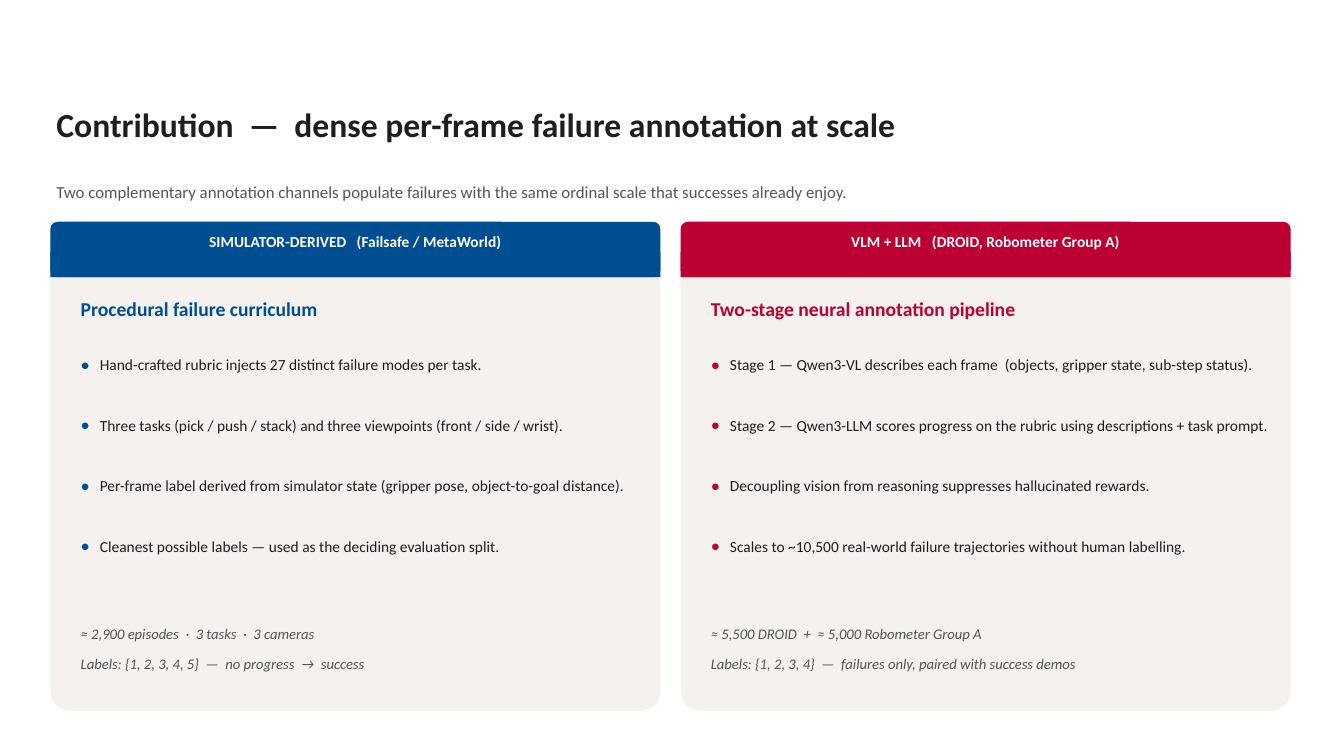
"""Build the slide on the two channels of dense failure annotation."""
import dataclasses

import pptx
import pptx.dml.color
import pptx.enum.shapes
import pptx.enum.text
import pptx.oxml.ns
import pptx.util
from lxml import etree

Inches = pptx.util.Inches
Pt = pptx.util.Pt
RGBColor = pptx.dml.color.RGBColor
Shape = pptx.enum.shapes.MSO_SHAPE
Align = pptx.enum.text.PP_ALIGN
Anchor = pptx.enum.text.MSO_ANCHOR
AutoSize = pptx.enum.text.MSO_AUTO_SIZE


@dataclasses.dataclass(frozen=True)
class Theme:
    """Colours, font and type sizes of the slide."""

    font: str = "Calibri"
    ink: str = "1F1D21"
    muted: str = "555555"
    panel: str = "F4F1EE"
    white: str = "FFFFFF"
    blue: str = "004E92"
    red: str = "BC0031"
    title_size: float = 24
    heading_size: float = 14
    subtitle_size: float = 12
    body_size: float = 11
    note_size: float = 10.5


@dataclasses.dataclass(frozen=True)
class Channel:
    """Content of one annotation panel."""

    color: str
    banner: str
    heading: str
    points: tuple
    notes: tuple


THEME = Theme()
PANEL_LEFT, PANEL_TOP, PANEL_WIDTH, PANEL_HEIGHT = 0.5, 2.2, 6.05, 4.85
PANEL_GAP = 0.2
PADDING = 0.3
TEXT_WIDTH = 5.55
BANNER_HEIGHT = 0.55
POINTS_TOP, POINT_PITCH = 3.5, 0.6
NOTES_TOP, NOTE_PITCH = 6.2, 0.3

CHANNELS = (
    Channel(
        THEME.blue,
        "SIMULATOR-DERIVED   (Failsafe / MetaWorld)",
        "Procedural failure curriculum",
        (
            "Hand-crafted rubric injects 27 distinct failure modes per task.",
            "Three tasks (pick / push / stack) and three viewpoints (front / side / wrist).",
            "Per-frame label derived from simulator state (gripper pose, object-to-goal distance).",
            "Cleanest possible labels — used as the deciding evaluation split.",
        ),
        (
            "≈ 2,900 episodes  ·  3 tasks  ·  3 cameras",
            "Labels: {1, 2, 3, 4, 5}  —  no progress  →  success",
        ),
    ),
    Channel(
        THEME.red,
        "VLM + LLM   (DROID, Robometer Group A)",
        "Two-stage neural annotation pipeline",
        (
            "Stage 1 — Qwen3-VL describes each frame  (objects, gripper state, sub-step status).",
            "Stage 2 — Qwen3-LLM scores progress on the rubric using descriptions + task prompt.",
            "Decoupling vision from reasoning suppresses hallucinated rewards.",
            "Scales to ~10,500 real-world failure trajectories without human labelling.",
        ),
        (
            "≈ 5,500 DROID  +  ≈ 5,000 Robometer Group A",
            "Labels: {1, 2, 3, 4}  —  failures only, paired with success demos",
        ),
    ),
)


def add_bullet(paragraph, color):
    """Give a paragraph a coloured bullet with a hanging indent."""
    properties = paragraph._p.get_or_add_pPr()
    indent = Inches(0.19)
    properties.set("marL", str(indent))
    properties.set("indent", str(-indent))
    qualified = pptx.oxml.ns.qn
    bullet_color = etree.SubElement(properties, qualified("a:buClr"))
    etree.SubElement(bullet_color, qualified("a:srgbClr"), val=color)
    etree.SubElement(properties, qualified("a:buSzPct"), val="120000")
    etree.SubElement(properties, qualified("a:buFont"), typeface=THEME.font)
    etree.SubElement(properties, qualified("a:buChar"), char="•")


def write_text(shape, text, *, size, color, bold=False, italic=False,
               align=Align.LEFT, anchor=Anchor.TOP, line_spacing=None,
               bullet=None, auto_size=AutoSize.SHAPE_TO_FIT_TEXT):
    """Write one formatted paragraph into a shape without insets."""
    frame = shape.text_frame
    frame.margin_left = frame.margin_right = 0
    frame.margin_top = frame.margin_bottom = 0
    frame.word_wrap = True
    frame.auto_size = auto_size
    frame.vertical_anchor = anchor
    paragraph = frame.paragraphs[0]
    paragraph.alignment = align
    if line_spacing:
        paragraph.line_spacing = line_spacing
    if bullet:
        add_bullet(paragraph, bullet)
    run = paragraph.add_run()
    run.text = text
    run.font.name = THEME.font
    run.font.size = Pt(size)
    run.font.bold = bold
    run.font.italic = italic
    run.font.color.rgb = RGBColor.from_string(color)


def add_text(slide, text, left, top, width, height, **style):
    """Add a text box holding one formatted paragraph."""
    box = slide.shapes.add_textbox(
        Inches(left), Inches(top), Inches(width), Inches(height))
    write_text(box, text, **style)


def add_block(slide, kind, left, top, height, color, corner=None):
    """Add a plain filled block as wide as a panel."""
    shape = slide.shapes.add_shape(
        kind, Inches(left), Inches(top), Inches(PANEL_WIDTH), Inches(height))
    shape.shadow.inherit = False
    shape.fill.solid()
    shape.fill.fore_color.rgb = RGBColor.from_string(color)
    shape.line.fill.background()
    if corner is not None:
        shape.adjustments[0] = corner


def add_title(slide, text):
    """Place and format the title placeholder."""
    title = slide.shapes.title
    title.left, title.top = Inches(0.56), Inches(0.77)
    title.width, title.height = Inches(12.2), Inches(0.97)
    write_text(title, text, size=THEME.title_size, color=THEME.ink, bold=True,
               anchor=Anchor.MIDDLE, line_spacing=0.9, auto_size=AutoSize.NONE)


def add_panel(slide, channel, left):
    """Add a panel with its banner, heading, points and notes."""
    add_block(slide, Shape.ROUNDED_RECTANGLE, left, PANEL_TOP, PANEL_HEIGHT,
              THEME.panel, corner=0.04)
    add_block(slide, Shape.ROUNDED_RECTANGLE, left, PANEL_TOP, BANNER_HEIGHT,
              channel.color, corner=0.13)
    add_block(slide, Shape.RECTANGLE, left, PANEL_TOP + 0.3, 0.25, channel.color)
    add_text(slide, channel.banner, left, PANEL_TOP + 0.1, PANEL_WIDTH, 0.4,
             size=THEME.body_size, color=THEME.white, bold=True, align=Align.CENTER)
    text_left = left + PADDING
    add_text(slide, channel.heading, text_left, 2.95, TEXT_WIDTH, 0.45,
             size=THEME.heading_size, color=channel.color, bold=True)
    for index, point in enumerate(channel.points):
        add_text(slide, point, text_left, POINTS_TOP + index * POINT_PITCH,
                 TEXT_WIDTH, 0.65, size=THEME.body_size, color=THEME.ink,
                 line_spacing=1.15, bullet=channel.color)
    for index, note in enumerate(channel.notes):
        add_text(slide, note, text_left, NOTES_TOP + index * NOTE_PITCH,
                 TEXT_WIDTH, 0.3, size=THEME.note_size, color=THEME.muted, italic=True)


def main():
    """Build and save the presentation."""
    presentation = pptx.Presentation()
    presentation.slide_width = Inches(13.33)
    presentation.slide_height = Inches(7.5)
    slide = presentation.slides.add_slide(presentation.slide_layouts[5])
    add_title(slide, "Contribution  —  dense per-frame failure annotation at scale")
    add_text(slide, "Two complementary annotation channels populate failures with "
             "the same ordinal scale that successes already enjoy.",
             0.56, 1.8, 12.2, 0.3, size=THEME.subtitle_size, color=THEME.muted)
    for index, channel in enumerate(CHANNELS):
        add_panel(slide, channel, PANEL_LEFT + index * (PANEL_WIDTH + PANEL_GAP))
    presentation.save("out.pptx")


if __name__ == "__main__":
    main()
